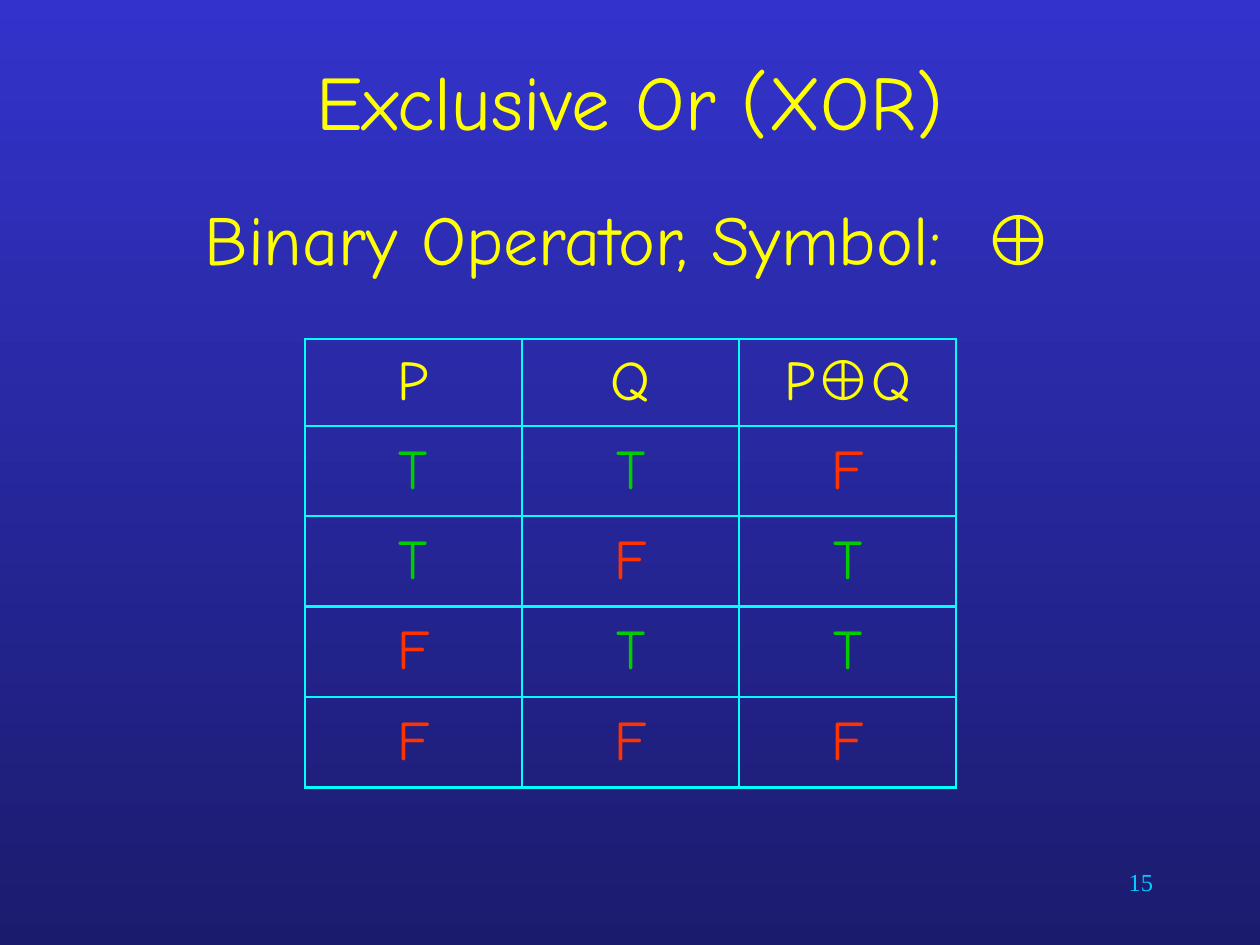
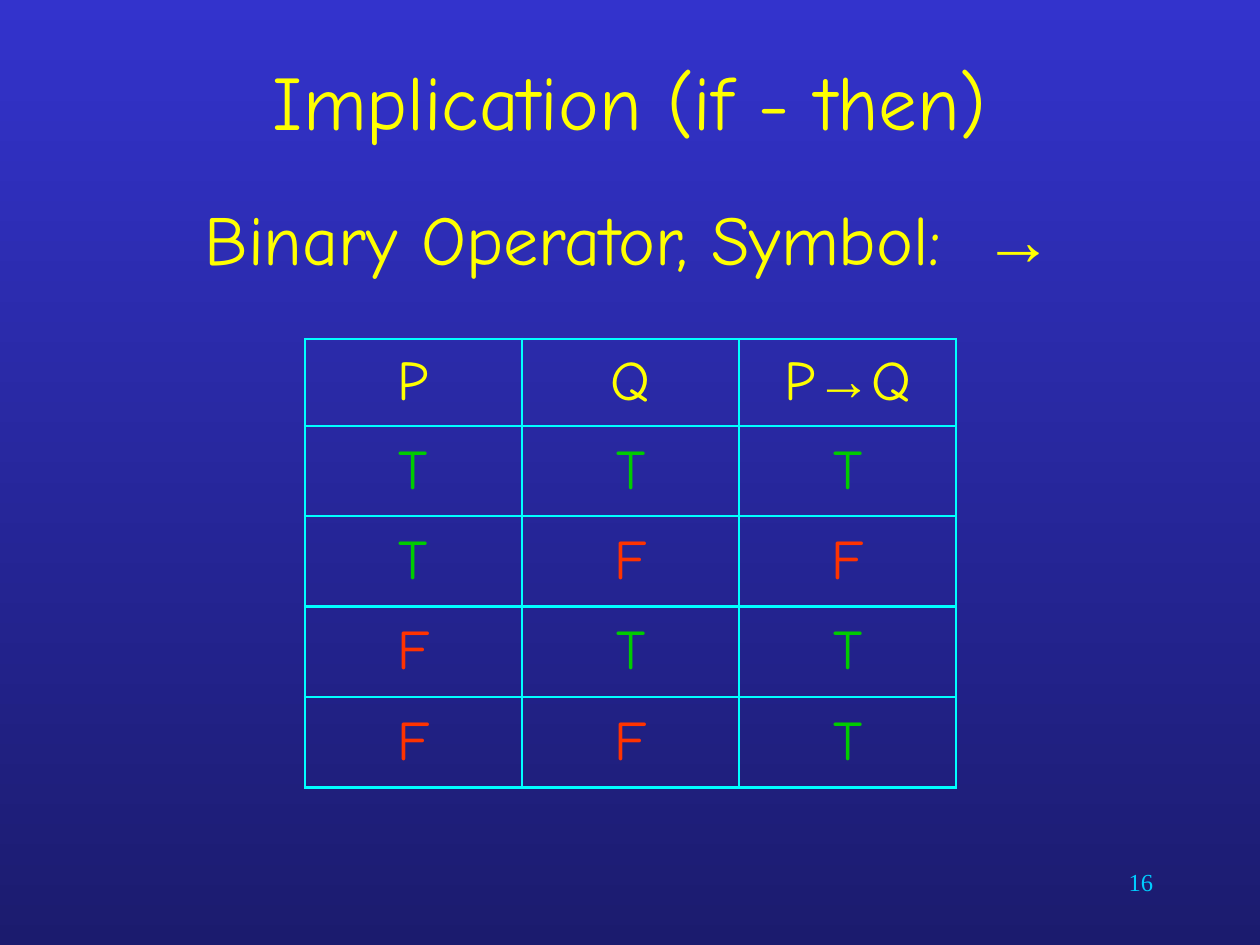
"""Builds two slides that define logical operators by their truth tables."""
from dataclasses import dataclass
from itertools import product

from lxml.etree import SubElement
from pptx import Presentation
from pptx.dml.color import RGBColor
from pptx.enum.text import MSO_ANCHOR as Anchor, MSO_AUTO_SIZE as AutoSize, PP_ALIGN as Align
from pptx.oxml.ns import qn
from pptx.util import Inches, Pt

YELLOW = RGBColor(0xFF, 0xFF, 0x00)
CYAN = RGBColor(0x00, 0xFF, 0xFF)
NUMBER_BLUE = RGBColor(0x00, 0xCC, 0xFF)
GRADIENT = (RGBColor(0x33, 0x33, 0xCC), RGBColor(0x1B, 0x1B, 0x6E))
TRUTH_COLORS = {"T": RGBColor(0x00, 0xCC, 0x00), "F": RGBColor(0xFF, 0x33, 0x00)}

TEXT_FONT = "Comic Neue"
SYMBOL_FONT = "Arial"
NUMBER_FONT = "Times New Roman"

TITLE_BOX = (0.75, 0.42, 8.5, 0.75)
BODY_BOX = (0.58, 1.5, 8.83, 0.92)
TABLE_BOX = (2.42, 2.69, 5.17, 3.56)
NUMBER_BOX = (7.17, 6.83, 2.08, 0.5)
HEADER_HEIGHT = Inches(0.69)
BORDER_WIDTH = Pt(1.47)
HANGING_INDENT = Inches(0.38)
SYMBOL_GAP = 1100


@dataclass(frozen=True)
class Operator:
    title: str
    symbol: str
    results: str
    number: int


OPERATORS = (
    Operator("Exclusive Or (XOR)", "⊕", "FTTF", 15),
    Operator("Implication (if - then)", "→", "TFTT", 16),
)


def to_inches(box: tuple) -> list:
    return [Inches(length) for length in box]


def place(shape, box: tuple) -> None:
    shape.left, shape.top, shape.width, shape.height = to_inches(box)


def format_run(run, size: float, color: RGBColor, name: str = TEXT_FONT, bold: bool = False) -> None:
    run.font.size = Pt(size)
    run.font.name = name
    run.font.bold = bold
    run.font.color.rgb = color


def add_runs(paragraph, texts: tuple, symbol: str, size: float, color: RGBColor) -> None:
    paragraph.alignment = Align.CENTER
    paragraph.space_before = Pt(0)
    for text in texts:
        run = paragraph.add_run()
        run.text = text
        is_symbol = text == symbol
        format_run(run, size, color, SYMBOL_FONT if is_symbol else TEXT_FONT, is_symbol)


def set_gradient(master) -> None:
    fill = master.background.fill
    fill.gradient()
    fill.gradient_angle = 270
    for stop, color in zip(fill.gradient_stops, GRADIENT):
        stop.color.rgb = color


def add_title(slide, title: str) -> None:
    shape = slide.shapes.title
    place(shape, TITLE_BOX)
    frame = shape.text_frame
    frame.text = title
    frame.auto_size = AutoSize.NONE
    frame.vertical_anchor = Anchor.MIDDLE
    frame.paragraphs[0].alignment = Align.CENTER
    format_run(frame.paragraphs[0].runs[0], 44, YELLOW)


def add_body(slide, symbol: str) -> None:
    shape = slide.placeholders[1]
    place(shape, BODY_BOX)
    shape.text_frame.auto_size = AutoSize.NONE
    paragraph = shape.text_frame.paragraphs[0]
    properties = paragraph._p.get_or_add_pPr()
    properties.set("marL", str(HANGING_INDENT))
    properties.set("indent", str(-HANGING_INDENT))
    SubElement(properties, qn("a:buNone"))
    add_runs(paragraph, ("Binary Operator, Symbol:", " ", symbol), symbol, 40, YELLOW)
    gap_run = paragraph.runs[1]
    gap_run._r.get_or_add_rPr().set("spc", str(SYMBOL_GAP))


def add_borders(cell) -> None:
    properties = cell._tc.get_or_add_tcPr()
    for side in ("a:lnL", "a:lnR", "a:lnT", "a:lnB"):
        line = SubElement(properties, qn(side), w=str(BORDER_WIDTH))
        solid = SubElement(line, qn("a:solidFill"))
        SubElement(solid, qn("a:srgbClr"), val=str(CYAN))


def add_truth_table(slide, operator: Operator) -> None:
    header = (("P",), ("Q",), ("P", operator.symbol, "Q"))
    rows = [header]
    for inputs, result in zip(product("TF", repeat=2), operator.results):
        rows.append((*inputs, result))
    table = slide.shapes.add_table(len(rows), len(header), *to_inches(TABLE_BOX)).table
    table.first_row = table.horz_banding = False
    body_height = (Inches(TABLE_BOX[3]) - HEADER_HEIGHT) // (len(rows) - 1)
    for row_index, values in enumerate(rows):
        table.rows[row_index].height = body_height if row_index else HEADER_HEIGHT
        for column_index, texts in enumerate(values):
            cell = table.cell(row_index, column_index)
            cell.vertical_anchor = Anchor.MIDDLE
            add_borders(cell)
            cell.fill.background()
            color = TRUTH_COLORS.get(texts, YELLOW)
            add_runs(cell.text_frame.paragraphs[0], texts, operator.symbol, 32, color)


def add_number(slide, number: int) -> None:
    frame = slide.shapes.add_textbox(*to_inches(NUMBER_BOX)).text_frame
    frame.word_wrap = True
    frame.text = str(number)
    frame.paragraphs[0].alignment = Align.RIGHT
    format_run(frame.paragraphs[0].runs[0], 14, NUMBER_BLUE, NUMBER_FONT)


def main() -> None:
    presentation = Presentation()
    presentation.slide_width, presentation.slide_height = Inches(10), Inches(7.5)
    set_gradient(presentation.slide_master)
    for operator in OPERATORS:
        slide = presentation.slides.add_slide(presentation.slide_layouts[1])
        add_title(slide, operator.title)
        add_body(slide, operator.symbol)
        add_truth_table(slide, operator)
        add_number(slide, operator.number)
    presentation.save("out.pptx")


if __name__ == "__main__":
    main()
